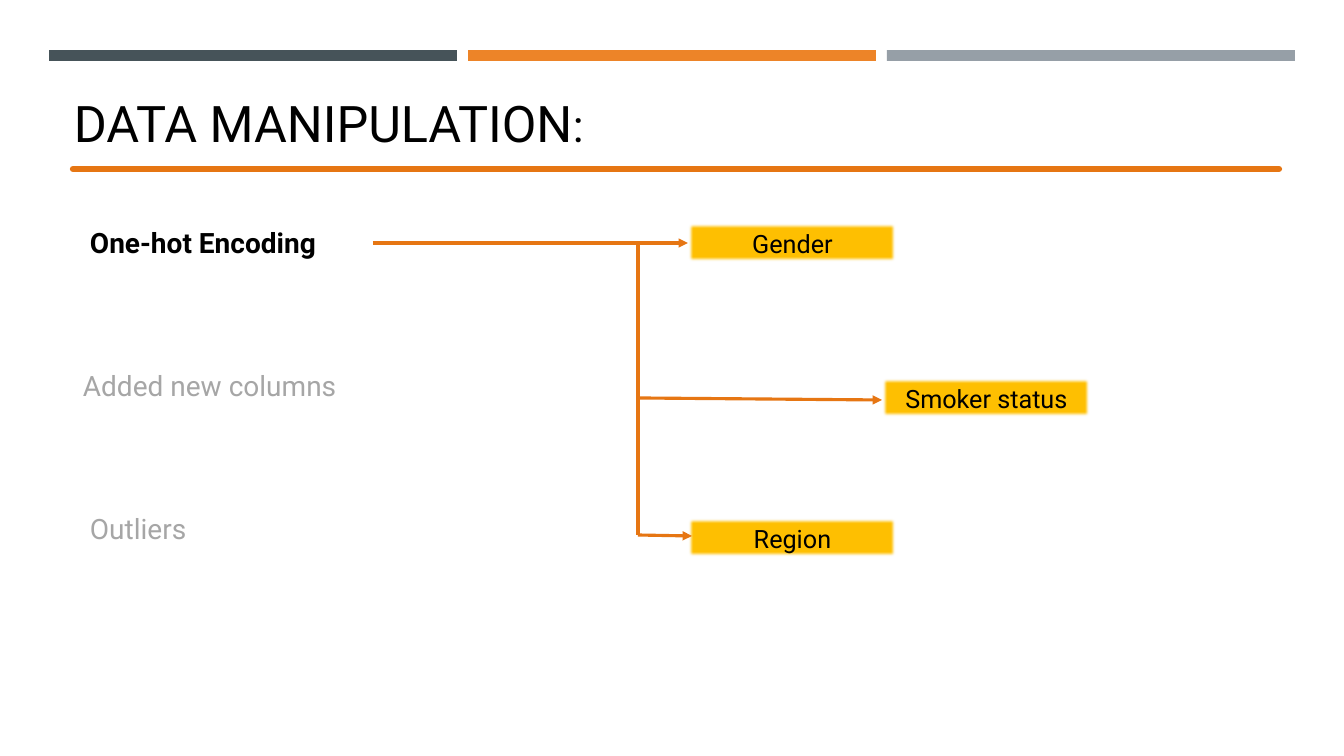
from lxml import etree
from pptx import Presentation
from pptx import util as u
from pptx.dml.color import RGBColor
from pptx.enum import shapes, text
from pptx.oxml.ns import qn

PX = 12192000 / 1344
COLORS = {
    "slate": "465359", "orange": "ED8428", "gray": "969FA7",
    "line": "E67613", "box": "FFC000", "black": "000000", "muted": "A6A6A6",
}


def write(sp, words, size, color, bold=False):
    """Put one formatted paragraph in a shape and return the paragraph."""
    tf = sp.text_frame
    tf.word_wrap = True
    tf.text = words
    p = tf.paragraphs[0]
    font = p.runs[0].font
    font.name, font.size, font.bold = "Roboto", u.Pt(size), bold
    font.color.rgb = RGBColor.from_string(COLORS[color])
    return p


def draw_line(start, end, width, arrow=False, rounded=False):
    points = [round(v * PX) for v in (*start, *end)]
    line = slide.shapes.add_connector(shapes.MSO_CONNECTOR.STRAIGHT, *points)
    line.line.width = u.Pt(width)
    line.line.color.rgb = RGBColor.from_string(COLORS["line"])
    ln = line.line._get_or_add_ln()
    if rounded:
        ln.set("cap", "rnd")
    if arrow:
        etree.SubElement(ln, qn("a:tailEnd"), type="triangle")
    etree.SubElement(line._element.spPr, qn("a:effectLst"))


prs = Presentation()
prs.slide_width, prs.slide_height = round(1344 * PX), round(756 * PX)
slide = prs.slides.add_slide(prs.slide_layouts[6])

# Top band
for i, color in enumerate(("slate", "orange", "gray")):
    box = [round(v * PX) for v in (49 + 419 * i, 50, 408, 11)]
    sp = slide.shapes.add_shape(shapes.MSO_SHAPE.RECTANGLE, *box)
    sp.shadow.inherit = False
    sp.fill.solid()
    sp.fill.fore_color.rgb = RGBColor.from_string(COLORS[color])
    sp.line.fill.background()

# Title and rule
title = slide.shapes.add_textbox(*[round(v * PX) for v in (64, 81, 1216, 77)])
p = write(title, "DATA MANIPULATION", 36, "black")
p.line_spacing = 0.9
title.text_frame.vertical_anchor = text.MSO_ANCHOR.BOTTOM
r = p.add_run()
r.text = ":"
r.font.name, r.font.size = "Roboto", u.Pt(32)
r.font.color.rgb = RGBColor.from_string(COLORS["black"])
draw_line((73, 169), (1279, 169), 4.5, rounded=True)

# Steps
for words, x, y, color, bold in (
    ("One-hot Encoding", 80, 221, "black", True),
    ("Added new columns", 73, 364, "muted", False),
    ("Outliers", 80, 507, "muted", False),
):
    sp = slide.shapes.add_textbox(*[round(v * PX) for v in (x, y, 320, 44)])
    write(sp, words, 20, color, bold)

# Encoded columns
for words, x, y in (
    ("Gender", 688, 223), ("Smoker status", 882, 378), ("Region", 688, 518),
):
    box = [round(v * PX) for v in (x, y, 209, 40)]
    sp = slide.shapes.add_shape(shapes.MSO_SHAPE.RECTANGLE, *box)
    sp.shadow.inherit = False
    effects = sp._element.spPr.find(qn("a:effectLst"))
    etree.SubElement(effects, qn("a:softEdge"), rad="31750")
    sp.fill.solid()
    sp.fill.fore_color.rgb = RGBColor.from_string(COLORS["box"])
    sp.line.fill.background()
    write(sp, words, 18, "black").alignment = text.PP_ALIGN.CENTER

# Branching arrows
for start, end in (
    ((373, 243), (688, 243)), ((638, 398), (882, 400)), ((638, 535), (692, 536)),
):
    draw_line(start, end, 2.25, arrow=True)
draw_line((638, 243), (638, 535), 2.25)

prs.save("out.pptx")
